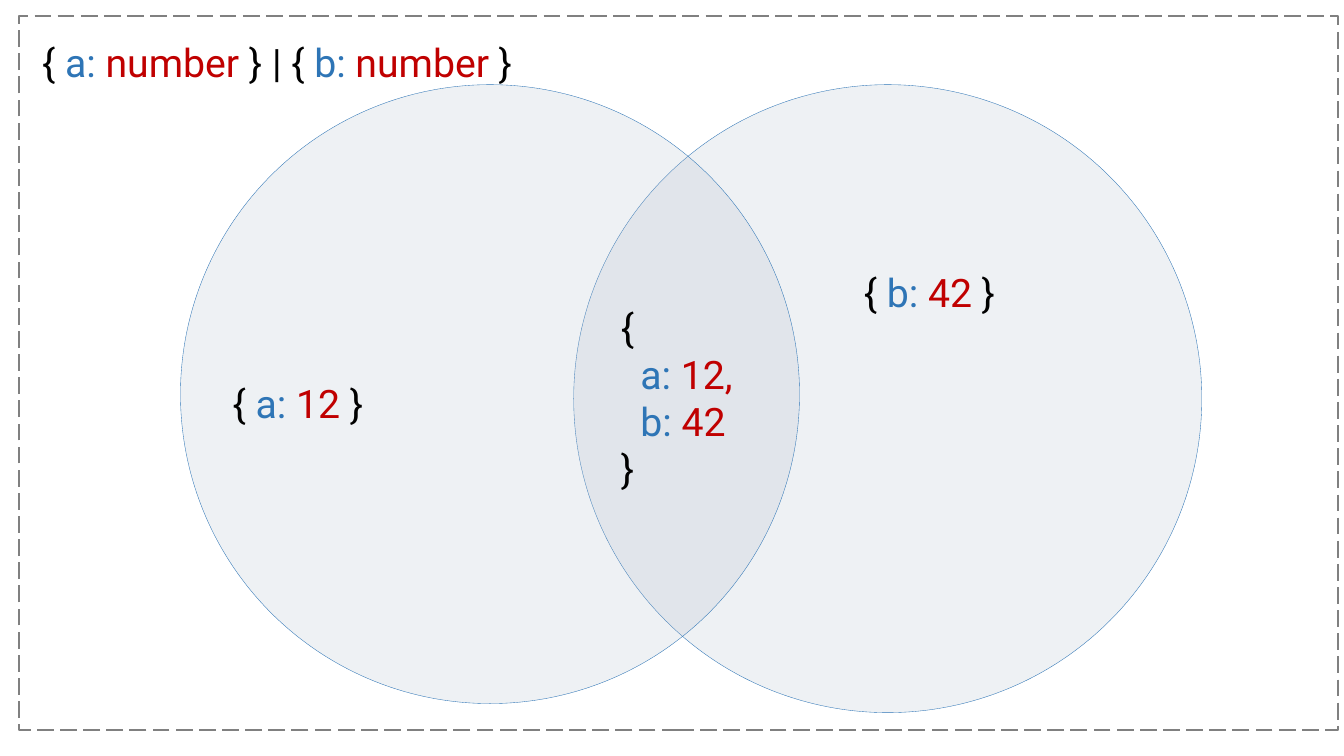
"""Build a Venn diagram slide that explains a union of two object types."""
from dataclasses import dataclass

from lxml import etree
from pptx import Presentation
from pptx.dml.color import RGBColor
from pptx.enum.dml import MSO_LINE
from pptx.enum.shapes import MSO_SHAPE
from pptx.enum.text import MSO_AUTO_SIZE
from pptx.oxml.ns import qn
from pptx.shapes.autoshape import Shape
from pptx.slide import Slide
from pptx.text.text import _Paragraph
from pptx.util import Inches, Pt

RECTANGLE = MSO_SHAPE.RECTANGLE
ELLIPSE = MSO_SHAPE.OVAL
LONG_DASH = MSO_LINE.LONG_DASH
FIT_SHAPE = MSO_AUTO_SIZE.SHAPE_TO_FIT_TEXT

BLACK = RGBColor(0x00, 0x00, 0x00)
GRAY = RGBColor(0x80, 0x80, 0x80)
BLUE = RGBColor(0x2E, 0x75, 0xB6)
RED = RGBColor(0xC0, 0x00, 0x00)
PALE_BLUE = RGBColor(0xAD, 0xB9, 0xCA)

FONT = "Roboto"
CODE_SIZE = 28
CIRCLE_OPACITY = 20
CIRCLE_TOP = 0.84


@dataclass(frozen=True)
class Circle:
    left: float
    diameter: float


@dataclass(frozen=True)
class Token:
    text: str
    color: RGBColor = BLACK


@dataclass(frozen=True)
class CodeLabel:
    left: float
    top: float
    width: float
    height: float
    lines: list[list[Token]]


def member(name: str, value: str) -> list[Token]:
    return [Token(f"{name}: ", BLUE), Token(value, RED)]


def inline_object(name: str, value: str, opening: str = "{ ") -> list[list[Token]]:
    return [[Token(opening), *member(name, f"{value} "), Token("}")]]


CIRCLES = [Circle(5.69, 6.23), Circle(1.79, 6.14)]

LABELS = [
    CodeLabel(0.32, 0.33, 2.56, 0.57, inline_object("a", "number")),
    CodeLabel(2.6, 0.33, 2.68, 0.57, inline_object("b", "number", "| { ")),
    CodeLabel(2.21, 3.71, 1.59, 0.57, inline_object("a", "12")),
    CodeLabel(8.47, 2.61, 2.68, 0.57, inline_object("b", "42")),
    CodeLabel(6.06, 2.96, 1.59, 1.99, [
        [Token("{")],
        member("  a", "12,"),
        member("  b", "42"),
        [Token("}")],
    ]),
]


def style_line(shape: Shape, color: RGBColor, width: float) -> None:
    shape.shadow.inherit = False
    shape.line.color.rgb = color
    shape.line.width = Pt(width)


def draw_frame(slide: Slide) -> None:
    frame = slide.shapes.add_shape(
        RECTANGLE, Inches(0.19), Inches(0.16), Inches(13.08), Inches(7.08))
    frame.fill.background()
    style_line(frame, GRAY, 1.5)
    frame.line.dash_style = LONG_DASH


def draw_circle(slide: Slide, circle: Circle) -> None:
    diameter = Inches(circle.diameter)
    shape = slide.shapes.add_shape(
        ELLIPSE, Inches(circle.left), Inches(CIRCLE_TOP), diameter, diameter)
    shape.fill.solid()
    shape.fill.fore_color.rgb = PALE_BLUE
    fill_color = shape.element.spPr.find(qn("a:solidFill")).find(qn("a:srgbClr"))
    etree.SubElement(fill_color, qn("a:alpha"), val=str(CIRCLE_OPACITY * 1000))
    style_line(shape, BLUE, 0.25)


def add_text(paragraph: _Paragraph, text: str, *, color: RGBColor = BLACK,
             size: float = CODE_SIZE, font: str = FONT) -> None:
    run = paragraph.add_run()
    run.text = text
    run.font.name = font
    run.font.size = Pt(size)
    run.font.color.rgb = color


def draw_label(slide: Slide, label: CodeLabel) -> None:
    box = slide.shapes.add_textbox(Inches(label.left), Inches(label.top),
                                   Inches(label.width), Inches(label.height))
    frame = box.text_frame
    frame.word_wrap = True
    frame.auto_size = FIT_SHAPE
    for index, line in enumerate(label.lines):
        paragraph = frame.add_paragraph() if index else frame.paragraphs[0]
        for token in line:
            add_text(paragraph, token.text, color=token.color)


def main() -> None:
    presentation = Presentation()
    presentation.slide_width = Inches(13.33)
    presentation.slide_height = Inches(7.5)
    slide = presentation.slides.add_slide(presentation.slide_layouts[6])
    draw_frame(slide)
    for circle in CIRCLES:
        draw_circle(slide, circle)
    for label in LABELS:
        draw_label(slide, label)
    presentation.save("out.pptx")


if __name__ == "__main__":
    main()
